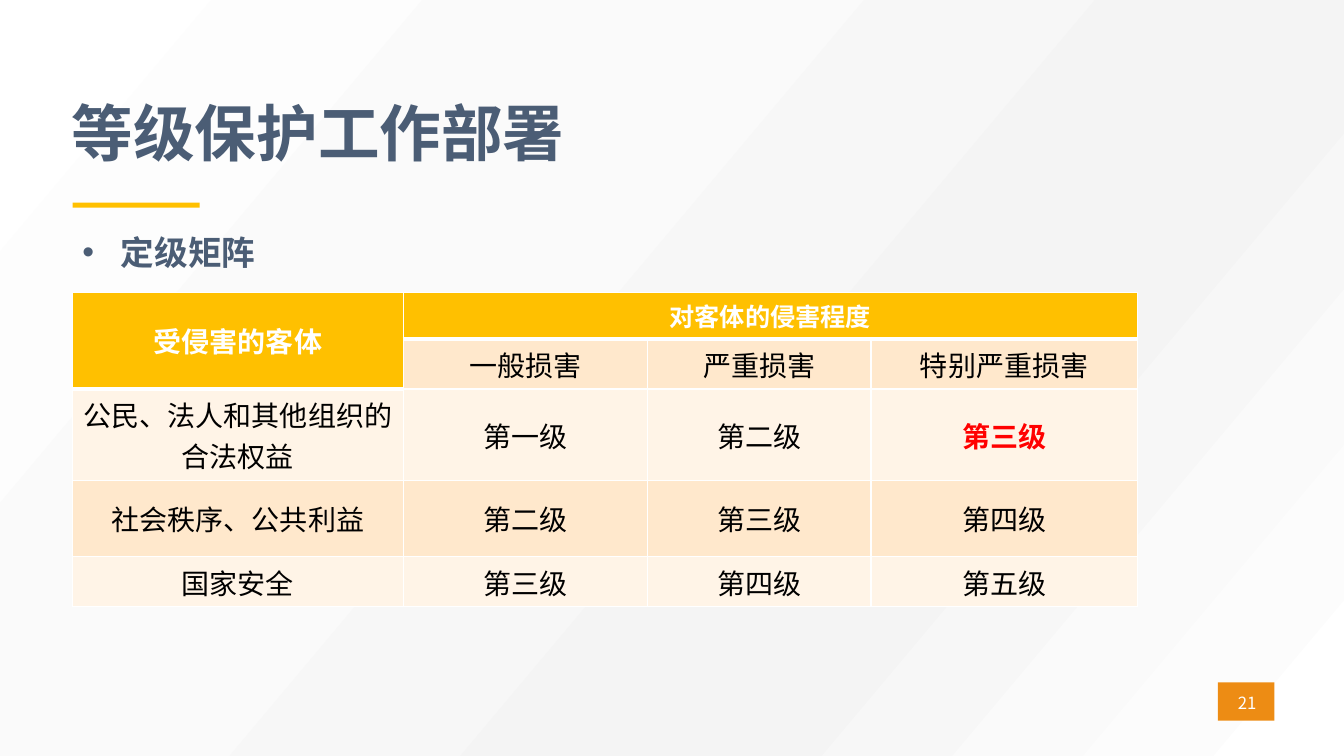
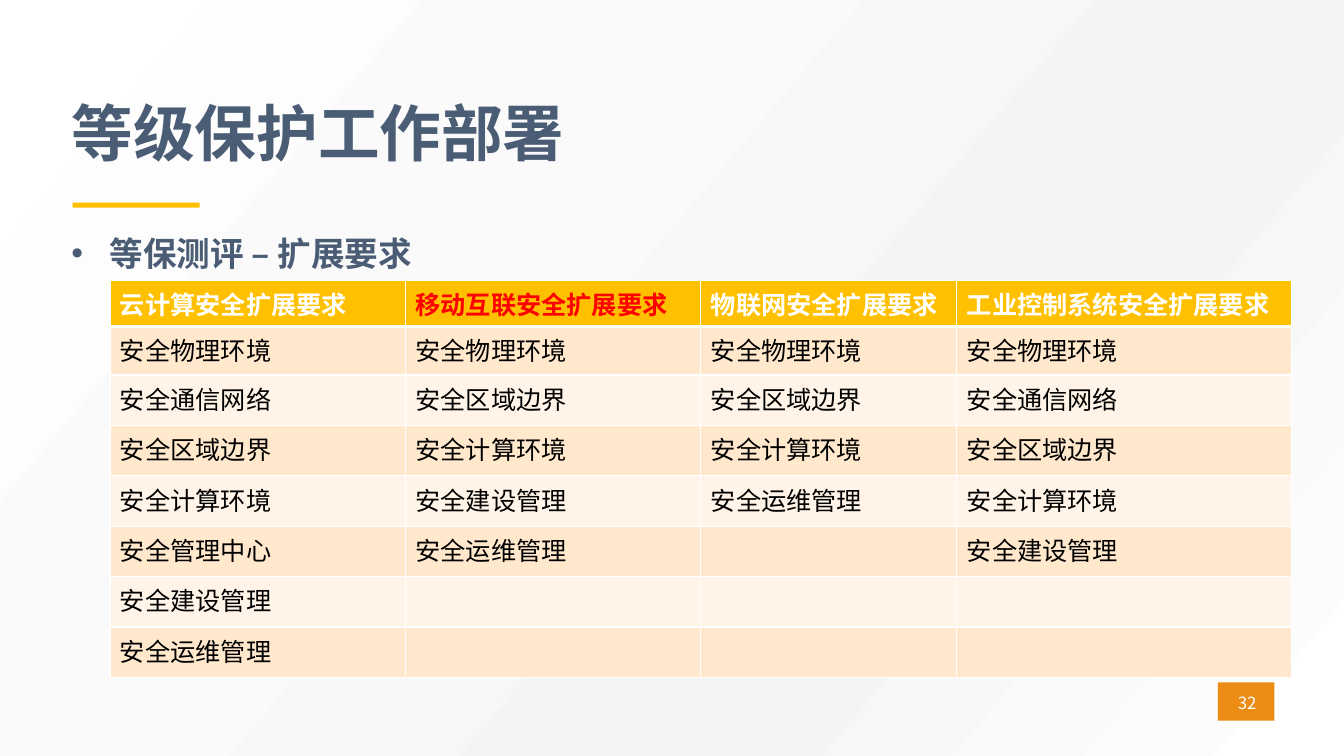
from lxml import etree
from pptx import Presentation
from pptx.dml.color import RGBColor
from pptx.enum.shapes import MSO_SHAPE
from pptx.enum.text import MSO_ANCHOR, PP_ALIGN
from pptx.oxml.ns import qn
from pptx.util import Inches, Pt

# Shared style
HUES = {"slate": "4B5D75", "gold": "FFC000", "orange": "ED8C14", "white": "FFFFFF",
        "black": "000000", "red": "FF0000", "dark": "FFE8CC", "pale": "FFF4E7"}
FADE = [(0, "FFFFFF"), (32, "FAFAFA"), (67, "F4F4F4"), (100, "FFFFFF")]
CJK = "Noto Sans CJK SC"
TITLE = "等级保护工作部署"

# Slide contents: None marks a cell covered by a merge
SLIDES = [
    {"page": "21", "point": "定级矩阵", "body": (0.72, 2.05, 11.86, 4.89),
     "at": (0.72, 2.9), "cols": [3.28, 2.42, 2.22, 2.64],
     "rows": [0.46, 0.5, 0.91, 0.75, 0.5],
     "size": 20, "align": PP_ALIGN.CENTER, "anchor": MSO_ANCHOR.MIDDLE,
     "merge": [(0, 0, 1, 0), (0, 1, 0, 3)], "red": (2, 3), "small": (0, 1),
     "cells": [["受侵害的客体", "对客体的侵害程度", None, None],
               [None, "一般损害", "严重损害", "特别严重损害"],
               ["公民、法人和其他组织的合法权益", "第一级", "第二级", "第三级"],
               ["社会秩序、公共利益", "第二级", "第三级", "第四级"],
               ["国家安全", "第三级", "第四级", "第五级"]]},
    {"page": "32", "point": "等保测评 – 扩展要求", "body": (0.61, 2.06, 11.76, 4.04),
     "at": (1.09, 2.78), "cols": [2.93, 2.93, 2.54, 3.32],
     "rows": [0.46, 0.48] + [0.5] * 6,
     "size": 18, "align": PP_ALIGN.LEFT, "anchor": MSO_ANCHOR.TOP,
     "merge": [], "red": (0, 1), "small": None,
     "cells": [["云计算安全扩展要求", "移动互联安全扩展要求",
                "物联网安全扩展要求", "工业控制系统安全扩展要求"],
               ["安全物理环境"] * 4,
               ["安全通信网络", "安全区域边界", "安全区域边界", "安全通信网络"],
               ["安全区域边界", "安全计算环境", "安全计算环境", "安全区域边界"],
               ["安全计算环境", "安全建设管理", "安全运维管理", "安全计算环境"],
               ["安全管理中心", "安全运维管理", "", "安全建设管理"],
               ["安全建设管理", "", "", ""],
               ["安全运维管理", "", "", ""]]},
]


def write(frame, text, size, hue, bold=False, face=CJK, align=PP_ALIGN.LEFT):
    frame.text = text
    para = frame.paragraphs[0]
    para.alignment = align
    para.font.size = Pt(size)
    for run in para.runs:
        font = run.font
        font.size, font.bold, font.name = Pt(size), bold, face
        font.color.rgb = RGBColor.from_string(HUES[hue])
        east = etree.SubElement(run._r.get_or_add_rPr(), qn("a:ea"))
        east.set("typeface", CJK)
    return para


def block(slide, box, hue):
    shape = slide.shapes.add_shape(MSO_SHAPE.RECTANGLE, *map(Inches, box))
    shape.shadow.inherit = False
    shape.fill.solid()
    shape.fill.fore_color.rgb = RGBColor.from_string(HUES[hue])
    shape.line.fill.background()


deck = Presentation()
deck.slide_width, deck.slide_height = Inches(13.33), Inches(7.5)

# Gradient background on the master
master = deck.slide_master
fill = master.background.fill
fill.gradient()
fill.gradient_angle = 320
stops = next(master.element.iter(qn("a:gsLst")))
for old in list(stops):
    stops.remove(old)
for place, tone in FADE:
    stop = etree.SubElement(stops, qn("a:gs"), pos=str(place * 1000))
    etree.SubElement(stop, qn("a:srgbClr"), val=tone)

for data in SLIDES:
    slide = deck.slides.add_slide(deck.slide_layouts[5])

    # Title, rule and page number
    title = slide.shapes.title
    title.left, title.top, title.width, title.height = map(Inches, (0.61, 0.92, 11.97, 0.86))
    title.text_frame.vertical_anchor = MSO_ANCHOR.MIDDLE
    write(title.text_frame, TITLE, 44, "slate", True).line_spacing = 0.9
    block(slide, (0.72, 2.01, 1.26, 0.05), "gold")
    block(slide, (12.08, 6.77, 0.56, 0.38), "orange")
    page = slide.shapes.add_textbox(*map(Inches, (12.06, 6.76, 0.62, 0.43))).text_frame
    page.word_wrap = True
    page.vertical_anchor = MSO_ANCHOR.MIDDLE
    write(page, data["page"], 12, "white", align=PP_ALIGN.CENTER)

    # Bullet point
    body = slide.shapes.add_textbox(*map(Inches, data["body"])).text_frame
    body.word_wrap = True
    point = write(body, data["point"], 24, "slate", True)
    point.line_spacing, point.space_before = 1.5, Pt(10)
    props = point._p.get_or_add_pPr()
    props.set("marL", str(Inches(0.38)))
    props.set("indent", str(-Inches(0.38)))
    etree.SubElement(props, qn("a:buFont"), typeface="Arial")
    etree.SubElement(props, qn("a:buChar"), char="•")

    # Table grid
    cols, rows = data["cols"], data["rows"]
    box = (*data["at"], sum(cols), sum(rows))
    table = slide.shapes.add_table(len(rows), len(cols), *map(Inches, box)).table
    table.first_row = table.horz_banding = False
    for col, width in zip(table.columns, cols):
        col.width = Inches(width)
    for row, height in zip(table.rows, rows):
        row.height = Inches(height)
    for top, left, low, right in data["merge"]:
        table.cell(top, left).merge(table.cell(low, right))

    # Table cells
    for r, line in enumerate(data["cells"]):
        for c, text in enumerate(line):
            cell = table.cell(r, c)
            head = r == 0 or text is None
            red = (r, c) == data["red"]
            hue = "red" if red else "white" if head else "black"
            size = 18 if (r, c) == data["small"] else data["size"]
            face = "Calibri" if red and head else "Arial"
            if text is not None:
                write(cell.text_frame, text, size, hue, head or red, face, data["align"])
            cell.vertical_anchor = data["anchor"]
            cell.fill.solid()
            shade = "gold" if head else "dark" if r % 2 else "pale"
            cell.fill.fore_color.rgb = RGBColor.from_string(HUES[shade])

            # White borders, thicker below the header
            edges = [("L", 1), ("R", 1), ("T", 1), ("B", 3 if head else 1)]
            if r:
                edges.pop(2)
            for spot, (side, width) in enumerate(edges):
                edge = etree.Element(qn("a:ln" + side), w=str(Pt(width)))
                paint = etree.SubElement(edge, qn("a:solidFill"))
                etree.SubElement(paint, qn("a:srgbClr"), val=HUES["white"])
                cell._tc.get_or_add_tcPr().insert(spot, edge)

deck.save("out.pptx")
